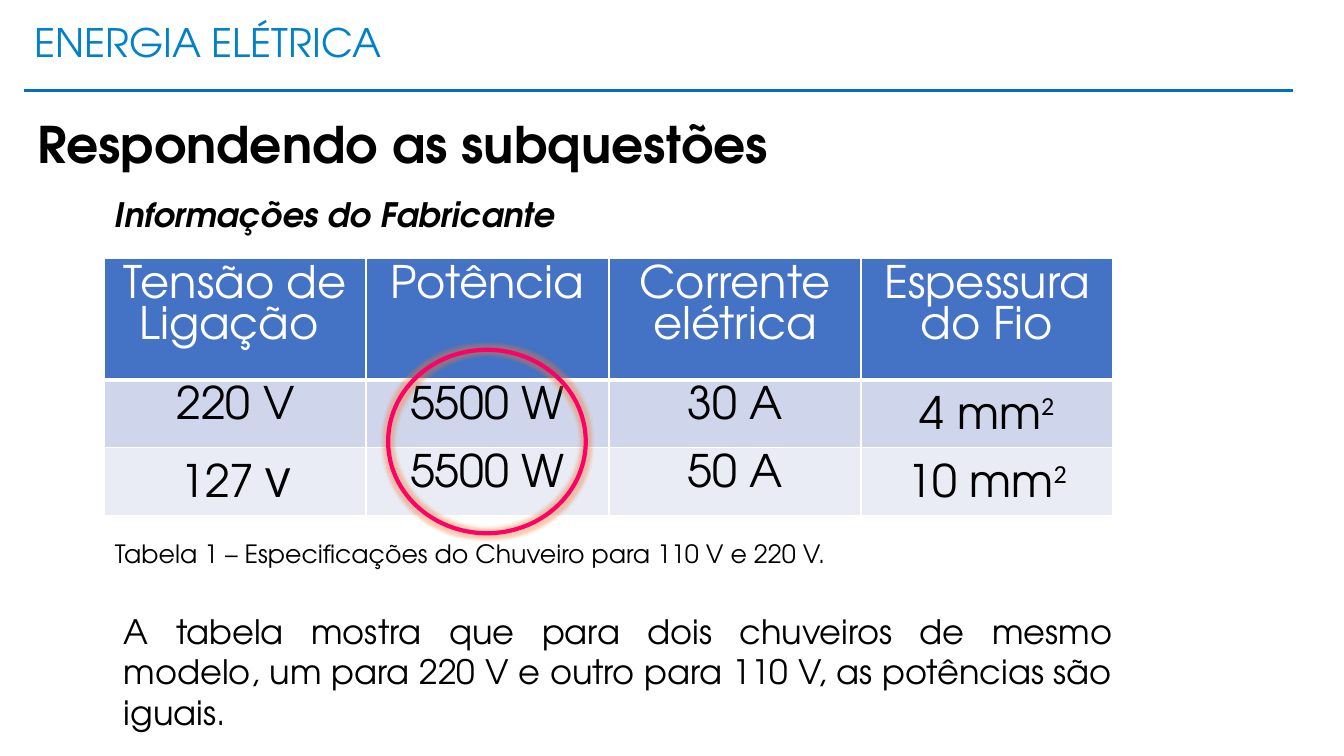
from lxml import etree
from pptx import Presentation
from pptx.dml.color import RGBColor
from pptx.enum.shapes import MSO_CONNECTOR, MSO_SHAPE
from pptx.enum.text import MSO_ANCHOR, PP_ALIGN
from pptx.oxml import parse_xml
from pptx.oxml.ns import nsdecls, qn
from pptx.util import Emu, Pt

PX = 9144  # EMU per px, 100 px to the inch
LEFT, CENTER, JUSTIFY = PP_ALIGN.LEFT, PP_ALIGN.CENTER, PP_ALIGN.JUSTIFY
MIDDLE = MSO_ANCHOR.MIDDLE
OVAL, STRAIGHT = MSO_SHAPE.OVAL, MSO_CONNECTOR.STRAIGHT
FONT, UNIT_FONT = "TeX Gyre Adventor", "Calibri"
BLACK, WHITE = RGBColor(0, 0, 0), RGBColor(255, 255, 255)
TITLE_BLUE, RULE_BLUE = RGBColor(0, 0x81, 0xCA), RGBColor(0, 0x70, 0xC0)
HEADER_BLUE = RGBColor(0x44, 0x72, 0xC4)
BAND_DARK, BAND_LIGHT = RGBColor(0xCF, 0xD5, 0xEA), RGBColor(0xE9, 0xEB, 0xF5)
PINK = RGBColor(0xFF, 0, 0x66)


def px(*lengths):
    return [Emu(length * PX) for length in lengths]


def style(run, size, color, name=FONT, bold=False, italic=False):
    font = run.font
    font.size, font.name, font.bold, font.italic = Pt(size), name, bold, italic
    font.color.rgb = color


prs = Presentation()
prs.slide_width, prs.slide_height = px(1333, 750)
slide = prs.slides.add_slide(prs.slide_layouts[5])
shapes = slide.shapes

# Title and rule
title = shapes.title
title.left, title.top, title.width, title.height = px(24, 0, 746, 88)
title.text_frame.text = "ENERGIA ELÉTRICA"
title.text_frame.vertical_anchor = MIDDLE
heading = title.text_frame.paragraphs[0]
heading.alignment, heading.line_spacing = LEFT, 0.9
style(heading.runs[0], 28, TITLE_BLUE)

rule = shapes.add_connector(STRAIGHT, *px(24, 90, 1282, 90))
rule.line.color.rgb, rule.line.width = RULE_BLUE, Pt(2.25)
etree.SubElement(rule._element.spPr, qn("a:effectLst"))

# Headings, caption and conclusion
texts = [
    ((27, 107, 889, 71), "Respondendo as subquestões", 36, True, False, LEFT),
    ((104, 187, 812, 50), "Informações do Fabricante", 24, True, True, LEFT),
    ((104, 529, 1000, 40), "Tabela 1 – Especificações do Chuveiro para 110 V e 220 V.",
     18, False, False, LEFT),
    ((113, 601, 1000, 91), "A tabela mostra que para dois chuveiros de mesmo modelo, "
     "um para 220 V e outro para 110 V, as potências são iguais.", 24, False, False, JUSTIFY),
]
for box, wording, size, bold, italic, alignment in texts:
    frame = shapes.add_textbox(*px(*box)).text_frame
    frame.word_wrap = True
    frame.text = wording
    frame.paragraphs[0].alignment = alignment
    style(frame.paragraphs[0].runs[0], size, BLACK, bold=bold, italic=italic)

# Specification table: each cell is its main text and a Calibri ending
rows = [
    [("Tensão de Ligação ", ""), ("Potência", ""), ("Corrente elétrica", ""),
     ("Espessura do Fio", "")],
    [("220 V", ""), ("5500 W", ""), ("30 A", ""), ("4 mm", "2")],
    [("127", " V"), ("5500 W", ""), ("50 A", ""), ("10 mm", "2")],
]
fills = [HEADER_BLUE, BAND_DARK, BAND_LIGHT]
specs = shapes.add_table(3, 4, *px(104, 256, 1000, 253)).table
for column, width in zip(specs.columns, px(259, 241, 250, 250)):
    column.width = width
for row, height in zip(specs.rows, px(120, 67, 67)):
    row.height = height
for r, row in enumerate(rows):
    for c, (main, ending) in enumerate(row):
        cell = specs.cell(r, c)
        cell.margin_left, cell.margin_top, cell.margin_right, cell.margin_bottom = px(13, 7, 13, 7)
        paragraph = cell.text_frame.paragraphs[0]
        paragraph.text = main
        paragraph.alignment = CENTER
        color = BLACK if r else WHITE
        style(paragraph.runs[0], 32, color)
        if ending:
            unit = paragraph.add_run()
            unit.text = ending
            style(unit, 32, color, UNIT_FONT)
            if ending == "2":
                unit.font._element.set("baseline", "30000")
        for side in "LRTB":
            weight = 3 if r == 0 and side == "B" else 1
            cell._tc.get_or_add_tcPr().append(parse_xml(
                f'<a:ln{side} {nsdecls("a")} w="{Pt(weight)}"><a:solidFill>'
                f'<a:srgbClr val="{WHITE}"/></a:solidFill></a:ln{side}>'))
        cell.fill.solid()
        cell.fill.fore_color.rgb = fills[r]

# Glowing ring around the equal powers
ring = shapes.add_shape(OVAL, *px(385, 347, 196, 182))
ring.fill.background()
ring.line.color.rgb, ring.line.width = PINK, Pt(3)
ring._element.spPr.append(parse_xml(
    f'<a:effectLst {nsdecls("a")}><a:glow rad="{Pt(5)}"><a:srgbClr val="ED7D31">'
    '<a:alpha val="40000"/></a:srgbClr></a:glow></a:effectLst>'))

prs.save("out.pptx")
